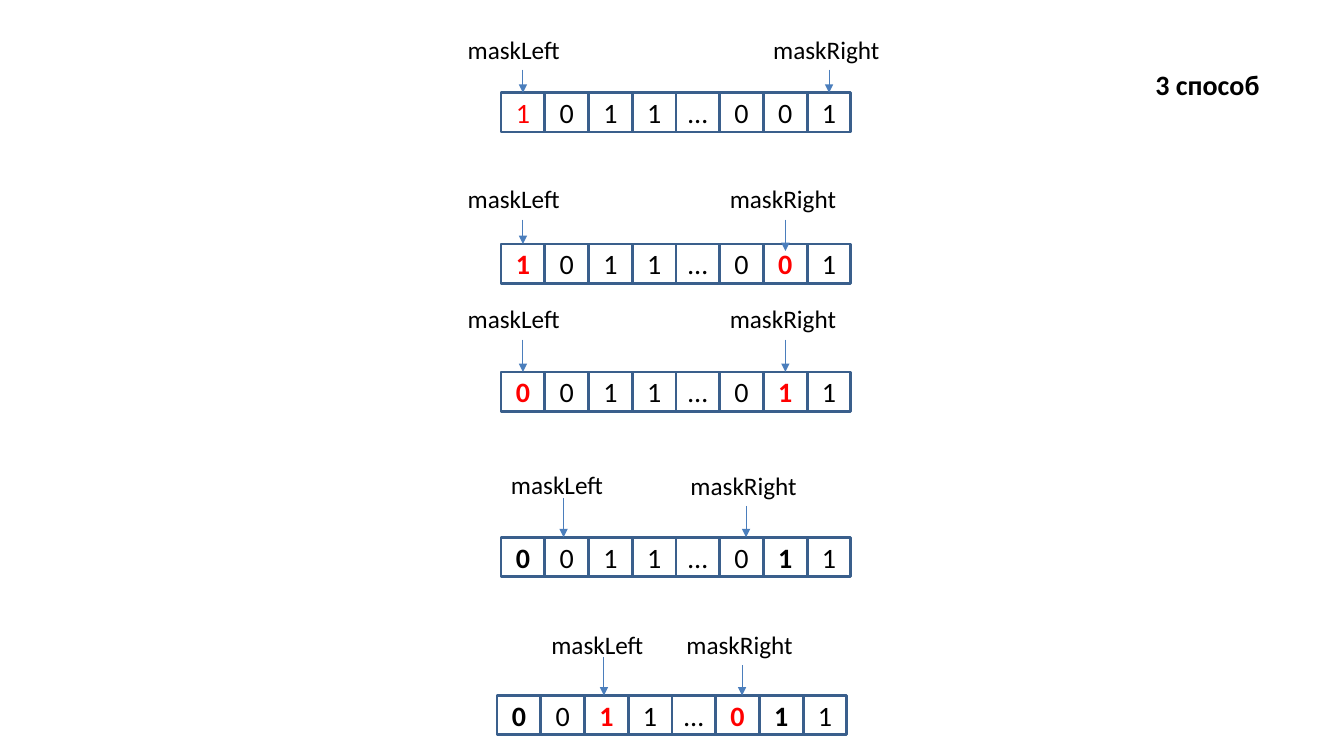
from lxml import etree
from pptx import Presentation
from pptx.dml.color import RGBColor
from pptx.enum.shapes import MSO_CONNECTOR, MSO_SHAPE
from pptx.enum.text import MSO_ANCHOR, PP_ALIGN
from pptx.oxml.ns import qn
from pptx.util import Inches, Pt

RECTANGLE = MSO_SHAPE.RECTANGLE
STRAIGHT = MSO_CONNECTOR.STRAIGHT
TOP, MIDDLE = MSO_ANCHOR.TOP, MSO_ANCHOR.MIDDLE
LEFT, CENTER = PP_ALIGN.LEFT, PP_ALIGN.CENTER

COLORS = {"text": "000000", "active": "FF0000", "border": "3A5F8C", "arrow": "4B7EBC"}
FONT = "Calibri"
CELL_WIDTH, CELL_HEIGHT = 3.47 / 8, 0.39
LABEL_WIDTH, LABEL_HEIGHT = 1.3, 0.4
TOP_SIDE = 0


def write_text(shape, text, size, alignment, anchor, color="text", bold=False):
    frame = shape.text_frame
    frame.text = text
    frame.word_wrap = True
    frame.vertical_anchor = anchor
    paragraph = frame.paragraphs[0]
    paragraph.alignment = alignment
    font = paragraph.runs[0].font
    font.name = FONT
    font.size = Pt(size)
    font.bold = bold
    font.color.rgb = RGBColor.from_string(COLORS[color])


def add_pointer(slide, name, label_left, label_top, arrow_x, arrow_start, arrow_end, target):
    label = slide.shapes.add_textbox(
        Inches(label_left), Inches(label_top), Inches(LABEL_WIDTH), Inches(LABEL_HEIGHT))
    write_text(label, name, 18, LEFT, TOP)
    arrow = slide.shapes.add_connector(
        STRAIGHT, Inches(arrow_x), Inches(arrow_start), Inches(arrow_x), Inches(arrow_end))
    if target is not None:
        arrow.end_connect(target, TOP_SIDE)
        arrow.begin_x = arrow.end_x
    arrow.line.color.rgb = RGBColor.from_string(COLORS["arrow"])
    arrow.line.width = Pt(0.75)
    etree.SubElement(arrow.line._get_or_add_ln(), qn("a:tailEnd"), type="triangle")
    etree.SubElement(arrow._element.spPr, qn("a:effectLst"))


presentation = Presentation()
presentation.slide_width = Inches(13.33)
presentation.slide_height = Inches(7.5)
slide = presentation.slides.add_slide(presentation.slide_layouts[5])

title = slide.shapes.title
title.left, title.top = Inches(11.36), Inches(0.62)
title.width, title.height = Inches(1.34), Inches(0.44)
write_text(title, "3 способ", 20, LEFT, TOP, bold=True)

# left, top, bits, active cells, bold cells, pointers
# pointer: name, label left, label top, arrow x, arrow start, arrow end, joined cell
steps = [
    (4.97, 0.92, "1011…001", {0}, set(), [
        ("maskLeft", 4.54, 0.29, 5.19, 0.69, 0.92, 0),
        ("maskRight", 7.57, 0.29, 8.22, 0.69, 0.92, 7)]),
    (4.97, 2.42, "1011…001", {0, 6}, {0, 6}, [
        ("maskLeft", 4.54, 1.77, 5.19, 2.18, 2.42, 0),
        ("maskRight", 7.14, 1.77, 7.79, 2.18, 2.49, None)]),
    (4.97, 3.69, "0011…011", {0, 6}, {0, 6}, [
        ("maskLeft", 4.54, 2.96, 5.19, 3.37, 3.69, 0),
        ("maskRight", 7.14, 2.96, 7.79, 3.37, 3.69, 6)]),
    (4.97, 5.33, "0011…011", set(), {0, 6}, [
        ("maskLeft", 4.97, 4.61, 5.59, 4.94, 5.33, None),
        ("maskRight", 6.75, 4.62, 7.4, 5.02, 5.33, None)]),
    (4.93, 6.9, "0011…011", {2, 5}, {0, 2, 5, 6}, [
        ("maskLeft", 5.37, 6.19, 5.99, 6.52, 6.9, None),
        ("maskRight", 6.71, 6.19, 7.36, 6.6, 6.9, None)]),
]

for row_left, row_top, bits, active_cells, bold_cells, pointers in steps:
    cells = []
    for index, bit in enumerate(bits):
        cell = slide.shapes.add_shape(
            RECTANGLE, Inches(row_left + index * CELL_WIDTH), Inches(row_top),
            Inches(CELL_WIDTH), Inches(CELL_HEIGHT))
        cell.shadow.inherit = False
        cell.fill.background()
        cell.line.color.rgb = RGBColor.from_string(COLORS["border"])
        cell.line.width = Pt(2)
        color = "active" if index in active_cells else "text"
        write_text(cell, bit, 20, CENTER, MIDDLE, color, index in bold_cells)
        cell.text_frame.margin_left = cell.text_frame.margin_right = 0
        cells.append(cell)
    for *pointer, target_index in pointers:
        target = None if target_index is None else cells[target_index]
        add_pointer(slide, *pointer, target)

presentation.save("out.pptx")
